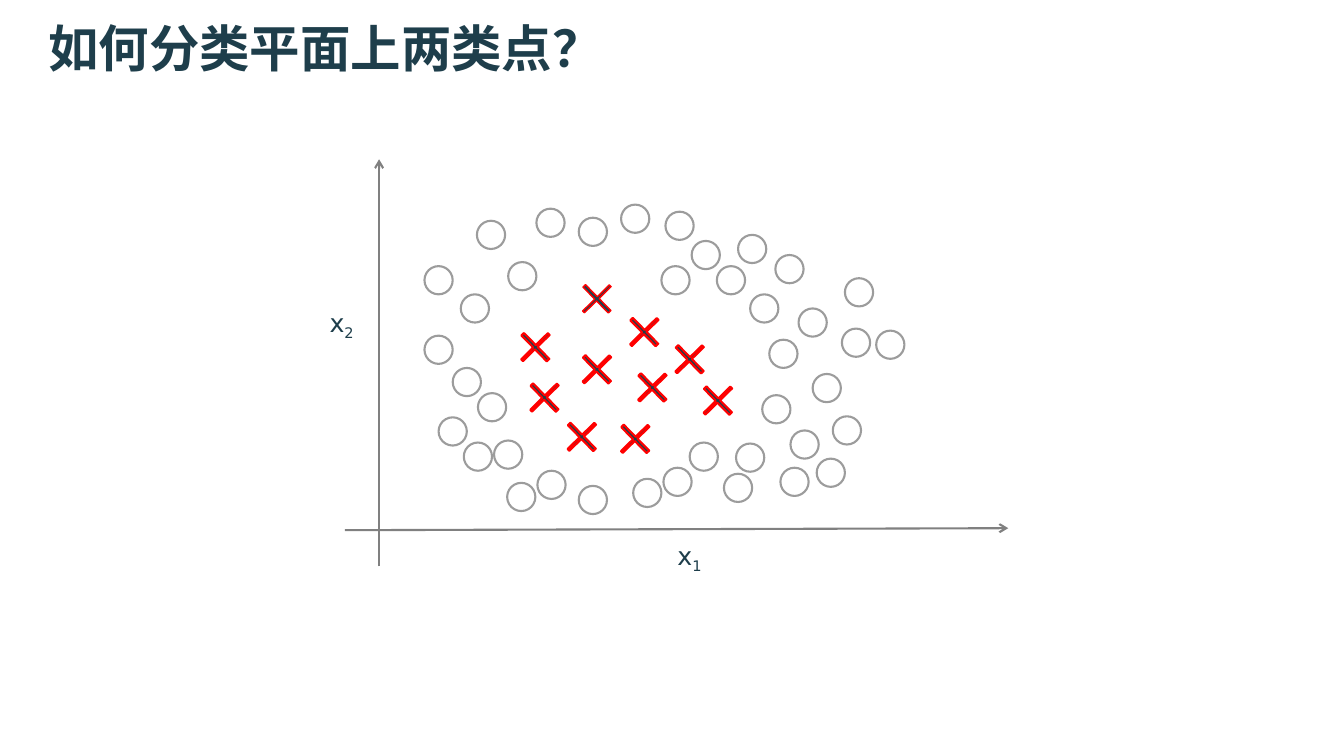
from lxml import etree
from pptx import Presentation
from pptx.dml.color import RGBColor
from pptx.enum import shapes, text
from pptx.oxml.ns import qn
from pptx.util import Inches, Pt

TITLE = "如何分类平面上两类点？"
COLORS = {"ink": "1E3E4B", "circle": "9C9C9C", "cross": "FF0000", "axis": "808080"}
TITLE_FONT, LABEL_FONT = "Noto Sans CJK SC", "DejaVu Sans"

# Left and top of each mark
CIRCLES = [
    (6.86, 2.39), (6.6, 2.1), (7.63, 3.37), (4.73, 2.19), (6.84, 4.39), (4.21, 3.33),
    (4.9, 4.37), (7.56, 3.92), (7.32, 2.33), (7.69, 2.53), (5.32, 2.07), (6.16, 2.03),
    (6.56, 2.64), (7.3, 4.4), (4.49, 3.65), (4.57, 2.92), (4.21, 2.64), (5.74, 4.82),
    (5.04, 2.6), (5.74, 2.16), (8.26, 4.13), (7.44, 2.92), (4.35, 4.14), (5.03, 4.79),
    (4.74, 3.9), (4.6, 4.39), (7.74, 4.64), (7.11, 2.64), (6.28, 4.75), (7.92, 3.06),
    (7.84, 4.27), (7.18, 4.7), (8.38, 2.76), (8.1, 4.55), (8.06, 3.71), (8.69, 3.28),
    (8.35, 3.26), (5.33, 4.67), (6.58, 4.64),
]
CROSSES = [
    (5.74, 3.48), (6.12, 4.17), (5.59, 4.15), (6.29, 3.66), (6.21, 3.11),
    (6.66, 3.38), (5.13, 3.26), (5.22, 3.76), (6.94, 3.79),
]
THIN_CROSS = (5.74, 2.78)
AXES = [(3.76, 5.62, 3.76, 1.58), (3.42, 5.26, 10, 5.24)]
LABELS = [("1", 6.62, 5.31), ("2", 3.17, 3)]


def rgb(name):
    return RGBColor.from_string(COLORS[name])


def add_mark(parent, kind, pos, size, color, width=1.5):
    sp = parent.add_shape(kind, *map(Inches, pos + size))
    sp.shadow.inherit = False
    sp.fill.background()
    sp.line.color.rgb = rgb(color)
    sp.line.width = Pt(width)
    return sp


def add_cross(parent, pos, width=1.5):
    sp = add_mark(parent, shapes.MSO_SHAPE.CROSS, pos, (0.36, 0.37), "cross", width)
    sp.adjustments[0] = 0.466
    sp.rotation = 45.6
    sp.fill.solid()
    sp.fill.fore_color.rgb = rgb("ink")


def add_axis(parent, ends):
    line = parent.add_connector(shapes.MSO_CONNECTOR.STRAIGHT, *map(Inches, ends))
    line.line.color.rgb = rgb("axis")
    line.line.width = Pt(1.5)
    etree.SubElement(line.line._get_or_add_ln(), qn("a:tailEnd"), type="arrow")
    etree.SubElement(line._element.spPr, qn("a:effectLst"))


def style_run(r, font, size, bold=False):
    r.font.name = font
    r.font.size = Pt(size)
    r.font.bold = bold
    r.font.color.rgb = rgb("ink")


def add_label(parent, index, left, top):
    """Axis name: x with a subscript index."""
    tf = parent.add_textbox(*map(Inches, (left, top, 0.46, 0.4))).text_frame
    tf.word_wrap = False
    tf.auto_size = text.MSO_AUTO_SIZE.SHAPE_TO_FIT_TEXT
    p = tf.paragraphs[0]
    for part in ("x", index):
        r = p.add_run()
        r.text = part
        style_run(r, LABEL_FONT, 18)
    r.font._element.set("baseline", "-25000")


def add_title(parent):
    tf = parent.add_textbox(*map(Inches, (0.38, 0.08, 11.5, 0.85))).text_frame
    tf.word_wrap = True
    tf.vertical_anchor = text.MSO_ANCHOR.MIDDLE
    tf.text = TITLE
    p = tf.paragraphs[0]
    p.line_spacing = 0.9
    r = p.runs[0]
    style_run(r, TITLE_FONT, 36, True)
    etree.SubElement(r.font._element, qn("a:ea"), typeface=TITLE_FONT)


def main():
    prs = Presentation()
    prs.slide_width, prs.slide_height = Inches(13.33), Inches(7.5)
    s = prs.slides.add_slide(prs.slide_layouts[6])
    plot = s.shapes.add_group_shape().shapes
    for pos in CIRCLES:
        add_mark(plot, shapes.MSO_SHAPE.OVAL, pos, (0.28, 0.28), "circle")
    for pos in CROSSES:
        add_cross(plot, pos)
    add_cross(plot, THIN_CROSS, 1)
    for label in LABELS:
        add_label(plot, *label)
    for ends in AXES:
        add_axis(plot, ends)
    add_title(s.shapes)
    prs.save("out.pptx")


if __name__ == "__main__":
    main()
